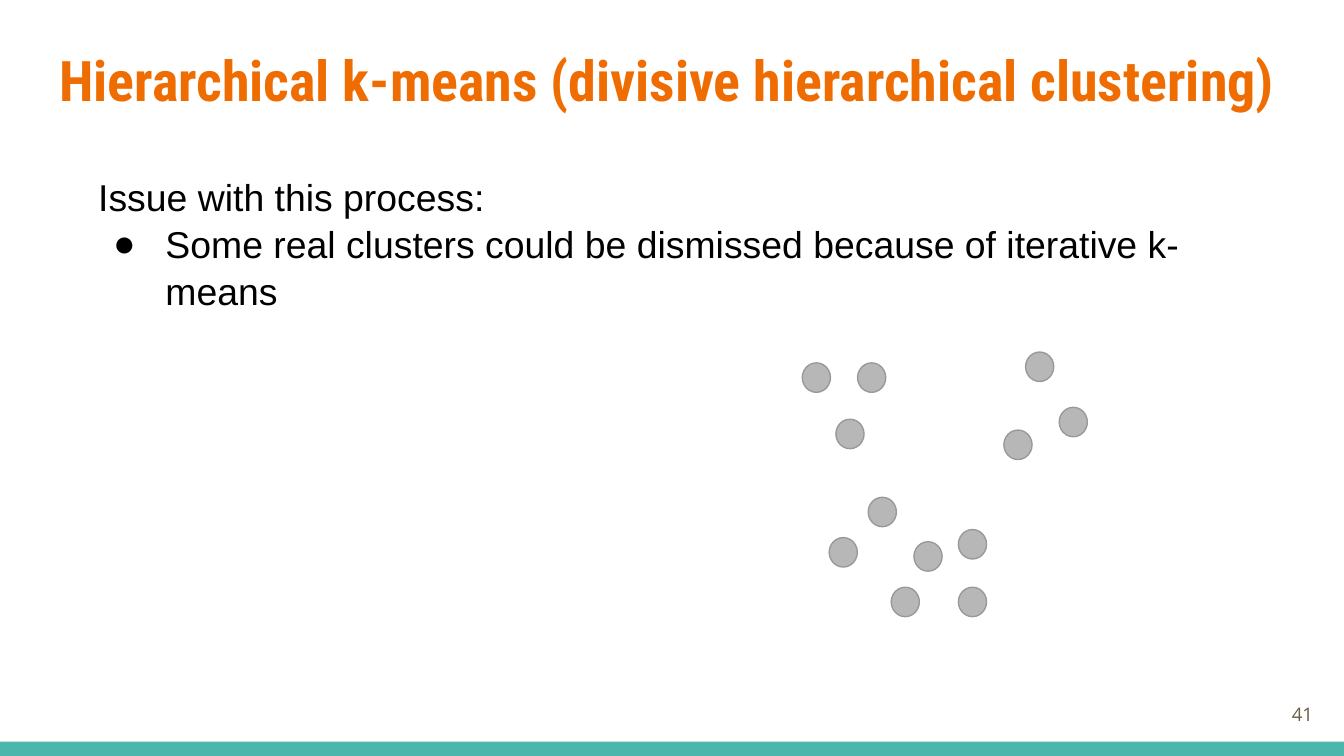
"""Build the slide on an issue with hierarchical k-means."""
from typing import NamedTuple

from lxml import etree
from pptx import Presentation
from pptx.dml.color import RGBColor
from pptx.enum import shapes, text
from pptx.oxml import ns
from pptx.util import Pt

ORANGE = RGBColor(0xEF, 0x6C, 0x00)
TEAL = RGBColor(0x4D, 0xB6, 0xAC)
BROWN = RGBColor(0x69, 0x5D, 0x46)
BLACK = RGBColor(0, 0, 0)
SILVER = RGBColor(0xB7, 0xB7, 0xB7)
GRAY = RGBColor(0x99, 0x99, 0x99)


class Box(NamedTuple):
    left: float
    top: float
    width: float
    height: float


class Style(NamedTuple):
    font: str
    size: float
    color: RGBColor
    bold: bool = False


class Dot(NamedTuple):
    left: float
    top: float


DOT_WIDTH, DOT_HEIGHT = 15.1, 15.8
DOTS = [
    Dot(429.8, 194.4), Dot(459.4, 194.4), Dot(447.8, 224.6),
    Dot(465.1, 266.4), Dot(513.4, 314.6), Dot(477.4, 314.6),
    Dot(537.8, 230.4), Dot(549.4, 188.6), Dot(567.4, 218.2),
    Dot(444.2, 288), Dot(513.4, 283.7), Dot(489.6, 290.2),
]


def place(shape, box: Box) -> None:
    shape.left, shape.top, shape.width, shape.height = map(Pt, box)


def write(shape, box: Box, words: str, style: Style,
          align=text.PP_ALIGN.LEFT, anchor=text.MSO_ANCHOR.TOP) -> None:
    place(shape, box)
    frame = shape.text_frame
    frame.text = words
    frame.word_wrap = True
    frame.auto_size = text.MSO_AUTO_SIZE.NONE
    frame.vertical_anchor = anchor
    frame.margin_left = frame.margin_right = Pt(7.2)
    frame.margin_top = frame.margin_bottom = Pt(7.2)
    for para in frame.paragraphs:
        para.alignment = align
        para.space_before = Pt(0)
        for run in para.runs:
            font = run.font
            font.name, font.size, font.bold = style.font, Pt(style.size), style.bold
            font.color.rgb = style.color


def indent(para, left: float, first: float, mark: str = "") -> None:
    props = para._p.get_or_add_pPr()
    props.set("marL", str(Pt(left)))
    props.set("indent", str(Pt(first)))
    if mark:
        color = etree.SubElement(props, ns.qn("a:buClr"))
        etree.SubElement(color, ns.qn("a:srgbClr"), val=str(BLACK))
        etree.SubElement(props, ns.qn("a:buFont"), typeface="Arial")
        etree.SubElement(props, ns.qn("a:buChar"), char=mark)
    else:
        etree.SubElement(props, ns.qn("a:buNone"))


def draw(slide, kind, box: Box, fill: RGBColor, line: RGBColor | None = None) -> None:
    shape = slide.shapes.add_shape(kind, *map(Pt, box))
    shape.shadow.inherit = False
    shape.fill.solid()
    shape.fill.fore_color.rgb = fill
    if line is None:
        shape.line.fill.background()
    else:
        shape.line.color.rgb = line
        shape.line.width = Pt(0.75)


def main() -> None:
    deck = Presentation()
    deck.slide_width, deck.slide_height = Pt(720), Pt(405)
    slide = deck.slides.add_slide(deck.slide_layouts[1])
    title, body = slide.placeholders

    draw(slide, shapes.MSO_SHAPE.RECTANGLE, Box(0, 397.4, 720, 7.6), TEAL)
    write(title, Box(24.5, 17.3, 671, 55.4),
          "Hierarchical k-means (divisive hierarchical clustering)",
          Style("Roboto Condensed", 30, ORANGE, True))
    write(slide.shapes.add_textbox(0, 0, 0, 0), Box(667.4, 367.2, 43.2, 31), "41",
          Style("Open Sans", 10, BROWN), text.PP_ALIGN.RIGHT, text.MSO_ANCHOR.MIDDLE)

    write(body, Box(45.4, 85, 614.9, 91.4),
          "Issue with this process:\n"
          "Some real clusters could be dismissed because of iterative k-means",
          Style("Arial", 20, BLACK))
    lead, point = body.text_frame.paragraphs
    lead.line_spacing = point.line_spacing = 1.05
    indent(lead, 0, 0)
    indent(point, 36, -28, "●")

    for dot in DOTS:
        draw(slide, shapes.MSO_SHAPE.OVAL, Box(*dot, DOT_WIDTH, DOT_HEIGHT), SILVER, GRAY)

    deck.save("out.pptx")


if __name__ == "__main__":
    main()
